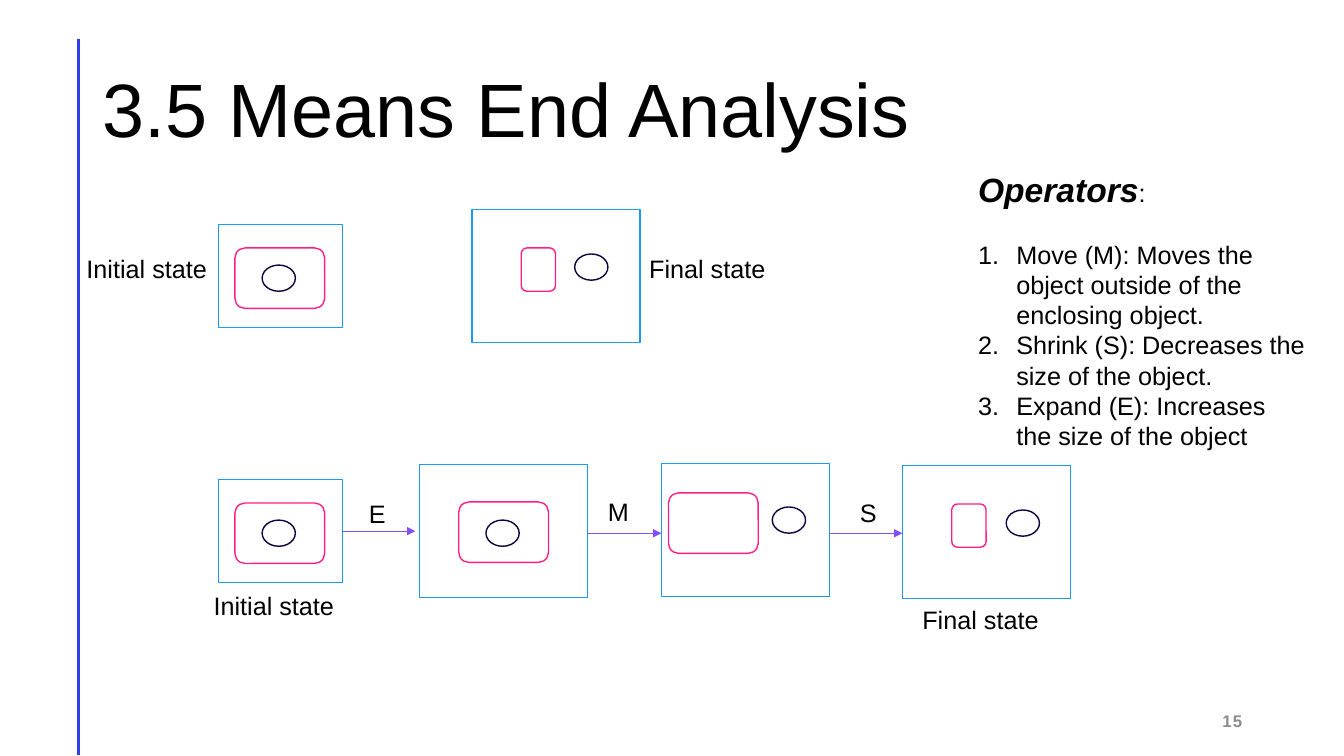
from pptx import Presentation
from pptx.dml.color import RGBColor
from pptx.enum.shapes import MSO_CONNECTOR as Link, MSO_SHAPE as Kind
from pptx.enum.text import MSO_ANCHOR as Anchor, MSO_AUTO_SIZE as Fit, PP_ALIGN as Align
from pptx.oxml.ns import qn
from pptx.util import Inches, Pt
from lxml.etree import SubElement

OPERATORS = [
    "Move (M): Moves the object outside of the enclosing object.",
    "Shrink (S): Decreases the size of the object.",
    "Expand (E): Increases the size of the object",
]
SMALL, LARGE = (1.23, 1.02), (1.67, 1.32)
WIDE, SHRUNK, OVAL = (0.89, 0.6), (0.34, 0.43), (0.33, 0.26)
STATES = [
    ((2.17, 2.23), SMALL, (2.33, 2.46), WIDE, (2.6, 2.63)),
    ((4.68, 2.08), LARGE, (5.17, 2.46), SHRUNK, (5.7, 2.52)),
    ((2.17, 4.76), SMALL, (2.33, 4.99), WIDE, (2.6, 5.16)),
    ((4.16, 4.61), LARGE, (4.55, 4.98), WIDE, (4.82, 5.16)),
    ((6.56, 4.6), LARGE, (6.63, 4.89), WIDE, (7.66, 5.03)),
    ((8.95, 4.62), LARGE, (9.44, 5), SHRUNK, (9.98, 5.06)),
]
ARROWS = [(3.4, 4.12, 5.27), (5.83, 6.56, 5.29), (8.22, 8.95, 5.29)]
LABELS = [
    ("Initial state", 0.76, 2.46, 1.53),
    ("Final state", 6.34, 2.46, 1.48),
    ("E", 3.56, 4.89, 0.33),
    ("M", 5.93, 4.87, 0.29),
    ("S", 8.43, 4.88, 0.36),
    ("Initial state", 2.02, 5.81, 1.53),
    ("Final state", 9.05, 5.95, 1.48),
]


def color(code):
    """Turn a hex string into a colour."""
    return RGBColor.from_string(code)


def style(para, size, code="000000", bold=False):
    """Format every run of a paragraph."""
    for run in para.runs:
        font = run.font
        font.name, font.size, font.bold = "Arial", Pt(size), bold
        font.color.rgb = color(code)


def place(shape, left, top, width, height):
    """Move and size a placeholder."""
    shape.left, shape.top = Inches(left), Inches(top)
    shape.width, shape.height = Inches(width), Inches(height)


def label(slide, text, left, top, width):
    """Add a one-line text box and return its shape."""
    box = slide.shapes.add_textbox(Inches(left), Inches(top), Inches(width), Inches(0.4))
    box.text_frame.word_wrap = False
    box.text_frame.text = text
    style(box.text_frame.paragraphs[0], 18)
    return box


def outline(slide, kind, spot, size, code):
    """Add an unfilled shape with a thin outline."""
    shape = slide.shapes.add_shape(kind, *map(Inches, spot + size))
    shape.shadow.inherit = False
    shape.fill.background()
    shape.line.color.rgb = color(code)
    shape.line.width = Pt(1)


def state(slide, spot, size, inner, span, oval):
    """Draw a state: a frame holding a box and an oval."""
    outline(slide, Kind.RECTANGLE, spot, size, "1A98FF")
    outline(slide, Kind.ROUNDED_RECTANGLE, inner, span, "FF1F85")
    outline(slide, Kind.OVAL, oval, OVAL, "10013F")


def line(slide, start, end, code, width):
    """Add a straight connector and return it."""
    link = slide.shapes.add_connector(Link.STRAIGHT, *map(Inches, start + end))
    link.line.color.rgb = color(code)
    link.line.width = Pt(width)
    SubElement(link.element.spPr, qn("a:effectLst"))
    return link


def arrow(slide, left, right, top):
    """Add a horizontal arrow between two states."""
    link = line(slide, (left, top), (right, top), "814DFF", 0.5)
    SubElement(link.line.fill._xPr, qn("a:tailEnd"), type="triangle")


def bullet(para, tag, indent, **kind):
    """Set the indent and bullet of a paragraph."""
    props = para._p.get_or_add_pPr()
    props.set("marL", str(Inches(indent)))
    props.set("indent", str(-Inches(indent)))
    SubElement(props, qn(tag), **kind)


def title(slide):
    """Fill the title placeholder."""
    head = slide.shapes.title
    place(head, 0.92, 0.4, 11.5, 1.45)
    frame = head.text_frame
    frame.text = "3.5 Means End Analysis"
    frame.auto_size = Fit.NONE
    frame.vertical_anchor = Anchor.MIDDLE
    para = frame.paragraphs[0]
    para.alignment, para.line_spacing = Align.LEFT, 0.9
    style(para, 54)


def body(slide):
    """Fill the body placeholder with the numbered operators."""
    shape = slide.placeholders[1]
    place(shape, 9.6, 1.63, 3.46, 3.23)
    frame = shape.text_frame
    frame.text = "Operators"
    frame.auto_size = Fit.NONE
    head = frame.paragraphs[0]
    head.add_run().text = ":"
    head.space_before, head.space_after = Pt(0), Pt(21)
    style(head, 18)
    font = head.runs[0].font
    font.size, font.bold, font.italic = Pt(24), True, True
    bullet(head, "a:buNone", 0)
    for text in OPERATORS:
        para = frame.add_paragraph()
        para.text = text
        para.space_before = Pt(0)
        style(para, 18)
        bullet(para, "a:buFont", 0.38, typeface="+mj-lt")
        bullet(para, "a:buAutoNum", 0.38, type="arabicPeriod")


def number(slide):
    """Add the slide number."""
    box = label(slide, "15", 9.42, 6.95, 3)
    box.text_frame.word_wrap = True
    box.text_frame.vertical_anchor = Anchor.MIDDLE
    para = box.text_frame.paragraphs[0]
    para.alignment = Align.RIGHT
    style(para, 12, "8C8C8C", True)
    para.runs[0].font._element.set("spc", "100")


def main():
    """Build and save the slide."""
    deck = Presentation()
    deck.slide_width, deck.slide_height = Inches(13.33), Inches(7.5)
    slide = deck.slides.add_slide(deck.slide_layouts[1])
    line(slide, (0.78, 0.39), (0.78, 7.49), "2E3FE5", 2)
    title(slide)
    body(slide)
    number(slide)
    for item in STATES:
        state(slide, *item)
    for item in ARROWS:
        arrow(slide, *item)
    for item in LABELS:
        label(slide, *item)
    deck.save("out.pptx")


if __name__ == "__main__":
    main()
